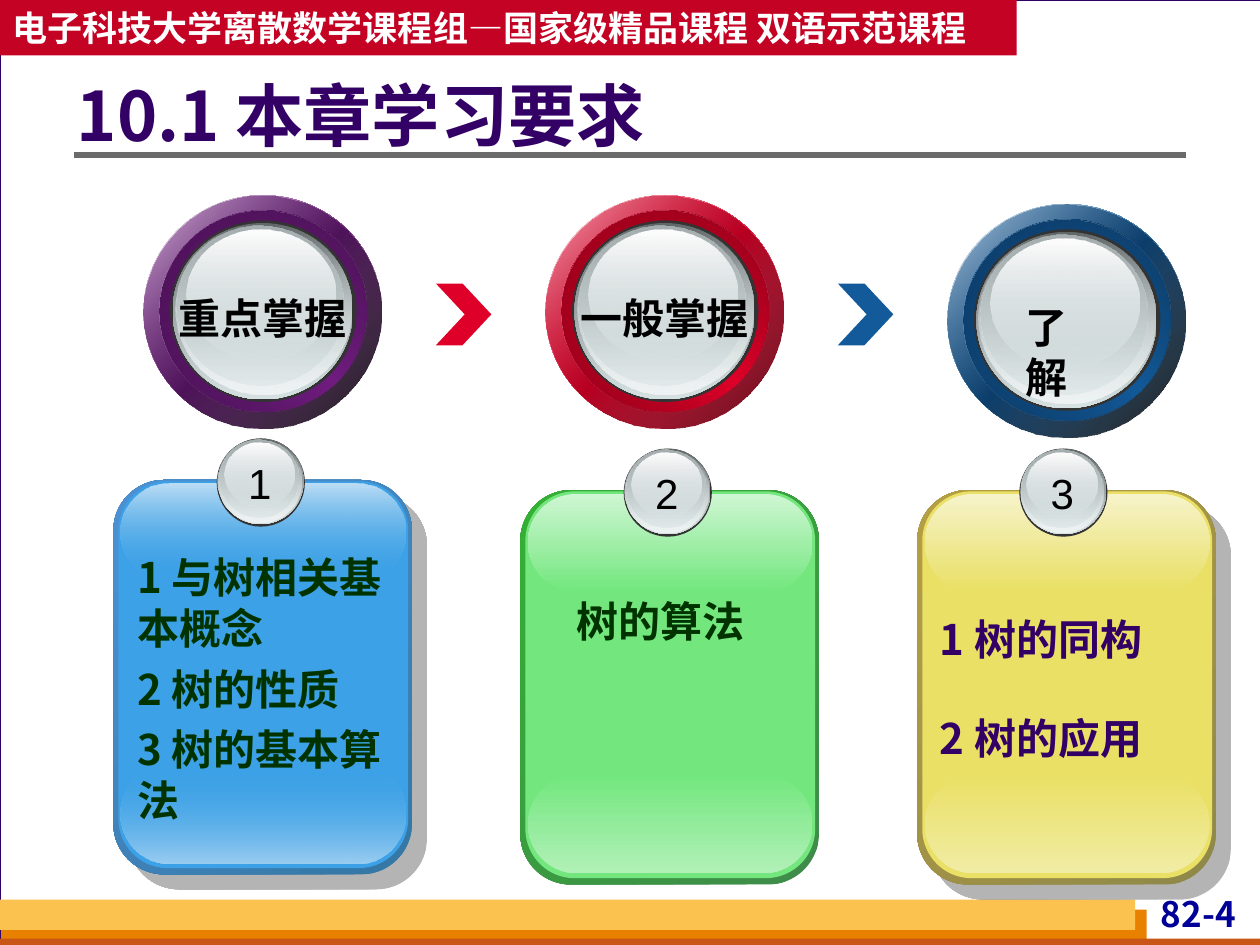
import pptx
import pptx.dml.color
import pptx.enum.shapes
import pptx.enum.text
import pptx.oxml
import pptx.oxml.ns
import pptx.util

Inches = pptx.util.Inches
Pt = pptx.util.Pt
Shape = pptx.enum.shapes.MSO_SHAPE
Align = pptx.enum.text.PP_ALIGN
Anchor = pptx.enum.text.MSO_ANCHOR
qn = pptx.oxml.ns.qn

THEME = {
    "cjk": "Noto Sans CJK SC", "latin": "Arial",
    "ink": "330066", "black": "000000", "white": "FFFFFF", "green": "003300",
    "page": "000099", "banner": "C30224", "rule": "6B6B6B", "rim": "333333",
    "title": 39, "small": 20, "body": 24, "line": 1.2,
}
BANDS = [
    ((0.01, 7.22, 9.09, 0.28), "E88000"),
    ((0, 7.45, 10, 0.05), "C95616"),
    ((0, 7.14, 9.01, 0.24), "FCC24F"),
]
BANNER = "电子科技大学离散数学课程组—国家级精品课程 双语示范课程"
TITLE = "10.1 本章学习要求"
PAGE = "82-4"

RINGS = [
    {"label": "重点掌握", "at": (1.14, 1.55), "text_at": (0.18, 1.53), "accent": "711C81",
     "shade": ("000000", 90), "dark": "3C0F45", "edge": "471151"},
    {"label": "一般掌握", "at": (4.33, 1.55), "text_at": (0.18, 1.56), "accent": "DF0029",
     "shade": ("660012", 100), "dark": "780016", "edge": "8D0019"},
    {"label": "了解", "at": (7.52, 1.62), "text_at": (0.52, 0.86), "accent": "135A9A",
     "shade": ("000000", 90), "dark": "0A3053", "edge": "0C3861"},
]
CHEVRONS = [(3.46, "DF0029"), (6.65, "135A9A")]

CARDS = [
    {"number": "1", "at": (0.9, 3.81), "lines": ["1 与树相关基本概念", "2 树的性质", "3 树的基本算法"],
     "text_at": (0.09, 0.52), "gap": 6, "align": Align.LEFT, "ink": "green",
     "rim": ("3477A4", "4E91D4"), "fill": "3CA1E6", "fade": 0,
     "low": "9ACDF1", "high": "BDDEF5", "shadow": True, "knob": 0.82},
    {"number": "2", "at": (4.13, 3.89), "lines": ["树的算法"],
     "text_at": (-0.01, 0.79), "gap": 0, "align": Align.CENTER, "ink": "green",
     "rim": ("3F8B4A", "34B034"), "fill": "73E77E", "fade": 100,
     "low": "B1F0B7", "high": "CFF6D3", "shadow": False, "knob": 0.82},
    {"number": "3", "at": (7.28, 3.89), "lines": ["1 树的同构", "2 树的应用"],
     "text_at": (0.08, 0.93), "gap": 28, "align": Align.LEFT, "ink": "ink",
     "rim": ("8F8849", "B59F43"), "fill": "E9E065", "fade": 100,
     "low": "F1ECA5", "high": "F6F3CA", "shadow": True, "knob": 0.81},
]

GLASS = [
    THEME["rim"],
    (90, ("626768", 100), ("D6E1E2", 100)),
    (90, ("D6E1E2", 0), ("EFF3F3", 100)),
    (90, ("A8B1B2", 100), ("D6E1E2", 48)),
    (90, ("FEFEFE", 100), ("D6E1E2", 38)),
]
RING_GLASS = [(0.21, 0.2, 1.48, 1.44), (0.23, 0.22, 1.43, 1.4), (0.25, 0.22, 1.4, 1.36),
              (0.26, 0.24, 1.33, 1.27), (0.34, 0.27, 1.18, 1.03)]
KNOB_GLASS = [(0, 0, 0.7, 0.7), (0.01, 0, 0.68, 0.68), (0.01, 0.01, 0.66, 0.66),
              (0.02, 0.01, 0.63, 0.62), (0.06, 0.03, 0.56, 0.5)]


def color(value):
    return pptx.dml.color.RGBColor.from_string(value)


def fill_gradient(shape, angle, *stops):
    shape.fill.gradient()
    steps = "".join(
        f'<a:gs pos="{100000 * index // (len(stops) - 1)}"><a:srgbClr val="{value}">'
        f'<a:alpha val="{opacity * 1000}"/></a:srgbClr></a:gs>'
        for index, (value, opacity) in enumerate(stops))
    gradient = pptx.oxml.parse_xml(
        f'<a:gradFill {pptx.oxml.ns.nsdecls("a")} rotWithShape="1"><a:gsLst>{steps}</a:gsLst>'
        f'<a:lin ang="{angle * 60000}" scaled="0"/></a:gradFill>')
    properties = shape._element.spPr
    properties.replace(properties.find(qn("a:gradFill")), gradient)


def add_shape(shapes, kind, bounds, fill, adjustment=None):
    shape = shapes.add_shape(kind, *map(Inches, bounds))
    shape.shadow.inherit = False
    shape.line.fill.background()
    if adjustment is not None:
        shape.adjustments[0] = adjustment
    if isinstance(fill, str):
        shape.fill.solid()
        shape.fill.fore_color.rgb = color(fill)
    else:
        fill_gradient(shape, *fill)
    return shape


def write(shape, lines, size, ink, font="cjk", bold=True, align=Align.LEFT,
          anchor=Anchor.TOP, gap=0, insets=(0.1, 0.05, 0.1, 0.05)):
    frame = shape.text_frame
    frame.word_wrap = True
    frame.vertical_anchor = anchor
    frame.margin_left, frame.margin_top, frame.margin_right, frame.margin_bottom = map(Inches, insets)
    for index, line in enumerate(lines):
        paragraph = frame.paragraphs[0] if index == 0 else frame.add_paragraph()
        paragraph.text = line
        paragraph.alignment = align
        paragraph.line_spacing = Pt(THEME[size] * THEME["line"])
        if index and gap:
            paragraph.space_before = Pt(gap)
        paragraph.font.size = Pt(THEME[size])
        paragraph.font.bold = bold
        paragraph.font.color.rgb = color(THEME[ink])
        paragraph.font.name = THEME[font]
        east_asian = pptx.oxml.parse_xml(
            f'<a:ea {pptx.oxml.ns.nsdecls("a")} typeface="{THEME["cjk"]}"/>')
        paragraph._p.pPr.find(qn("a:defRPr")).find(qn("a:latin")).addnext(east_asian)


def add_text(shapes, bounds, *arguments, **options):
    write(shapes.add_textbox(*map(Inches, bounds)), *arguments, **options)


def shift(left, top, bounds):
    return (left + bounds[0], top + bounds[1], *bounds[2:])


def add_glass(shapes, left, top, layers):
    for bounds, fill in zip(layers, GLASS):
        add_shape(shapes, Shape.OVAL, shift(left, top, bounds), fill)


def add_ring(slide, ring):
    shapes = slide.shapes.add_group_shape().shapes
    left, top = ring["at"]
    accent, dark = (ring["accent"], 100), (ring["dark"], 100)
    shine = ("FEFEFE", 100)
    outer, inner = (0, 0, 1.89, 1.85), (0.13, 0.12, 1.64, 1.6)
    layers = [
        (outer, (225, shine, accent, shine)),
        (outer, (225, ring["shade"], (ring["accent"], 32))),
        (inner, (135, dark, accent, dark)),
        (inner, (225, (ring["accent"], 0), (ring["edge"], 100))),
    ]
    for bounds, fill in layers:
        add_shape(shapes, Shape.OVAL, shift(left, top, bounds), fill)
    add_glass(shapes, left, top, RING_GLASS)
    offset, width = ring["text_at"]
    add_text(shapes, shift(left, top, (offset, 0.72, width, 0.5)),
             [ring["label"]], "body", "black", font="latin")


def add_card(slide, card):
    shapes = slide.shapes.add_group_shape().shapes
    left, top = card["at"]
    rim = [(value, 100) for value in card["rim"]]
    base = (card["fill"], card["fade"])
    panels = [
        ((0, 0, 2.37, 3.13), (225, *rim), 0.17),
        ((0.04, 0.01, 2.3, 3.07), card["fill"], 0.17),
        ((0.06, 2.26, 2.26, 0.78), (90, base, (card["low"], 100)), 0.5),
        ((0.06, 0.03, 2.26, 0.77), (90, (card["high"], 100), base), 0.5),
    ]
    body, *_ = [add_shape(shapes, Shape.ROUNDED_RECTANGLE, shift(left, top, bounds), fill, corner)
                for bounds, fill, corner in panels]
    if card["shadow"]:
        body._element.spPr.find(qn("a:effectLst")).append(pptx.oxml.parse_xml(
            f'<a:outerShdw {pptx.oxml.ns.nsdecls("a")} blurRad="0" dist="{Pt(12.1)}" dir="2700000" '
            f'algn="ctr" rotWithShape="0"><a:srgbClr val="{THEME["rule"]}">'
            '<a:alpha val="50000"/></a:srgbClr></a:outerShdw>'))
    add_glass(shapes, left + card["knob"], top - 0.33, KNOB_GLASS)
    add_text(shapes, shift(left, top, (card["knob"] + 0.15, -0.23, 0.38, 0.5)),
             [card["number"]], "body", "black", font="latin", bold=False, align=Align.CENTER)
    text_height = 0.1 + len(card["lines"]) * 0.7
    add_text(shapes, shift(left, top, (*card["text_at"], 2.25, text_height)), card["lines"],
             "body", card["ink"], align=card["align"], gap=card["gap"])


def main():
    presentation = pptx.Presentation()
    presentation.slide_width, presentation.slide_height = Inches(10), Inches(7.5)
    slide = presentation.slides.add_slide(presentation.slide_layouts[6])
    shapes = slide.shapes

    sheet = add_shape(shapes, Shape.RECTANGLE, (0, 0, 10.01, 7.5), THEME["white"])
    sheet.line.color.rgb = color(THEME["ink"])
    sheet.line.width = Pt(0.75)
    for bounds, fill in BANDS:
        add_shape(shapes, Shape.RECTANGLE, bounds, fill)
    add_text(shapes, (9.1, 7.08, 0.82, 0.38), [PAGE], "small", "page",
             align=Align.CENTER, insets=(0.04, 0, 0.04, 0))
    rule = shapes.add_connector(pptx.enum.shapes.MSO_CONNECTOR.STRAIGHT,
                                *map(Inches, (0.59, 1.23, 9.41, 1.23)))
    rule.line.color.rgb = color(THEME["rule"])
    rule.line.width = Pt(3)
    rule._element.spPr.append(pptx.oxml.parse_xml(f'<a:effectLst {pptx.oxml.ns.nsdecls("a")}/>'))
    banner = add_shape(shapes, Shape.RECTANGLE, (0, 0, 8.07, 0.44), THEME["banner"])
    write(banner, [BANNER], "small", "white", anchor=Anchor.MIDDLE)
    add_text(shapes, (0.61, 0.56, 7.78, 0.69), [TITLE], "title", "ink",
             anchor=Anchor.MIDDLE, insets=(0, 0.05, 0.1, 0.05))

    for left, fill in CHEVRONS:
        add_shape(shapes, Shape.CHEVRON, (left, 2.25, 0.44, 0.49), fill, 0.52)
    for ring in RINGS:
        add_ring(slide, ring)
    for card in CARDS:
        add_card(slide, card)
    presentation.save("out.pptx")


if __name__ == "__main__":
    main()
